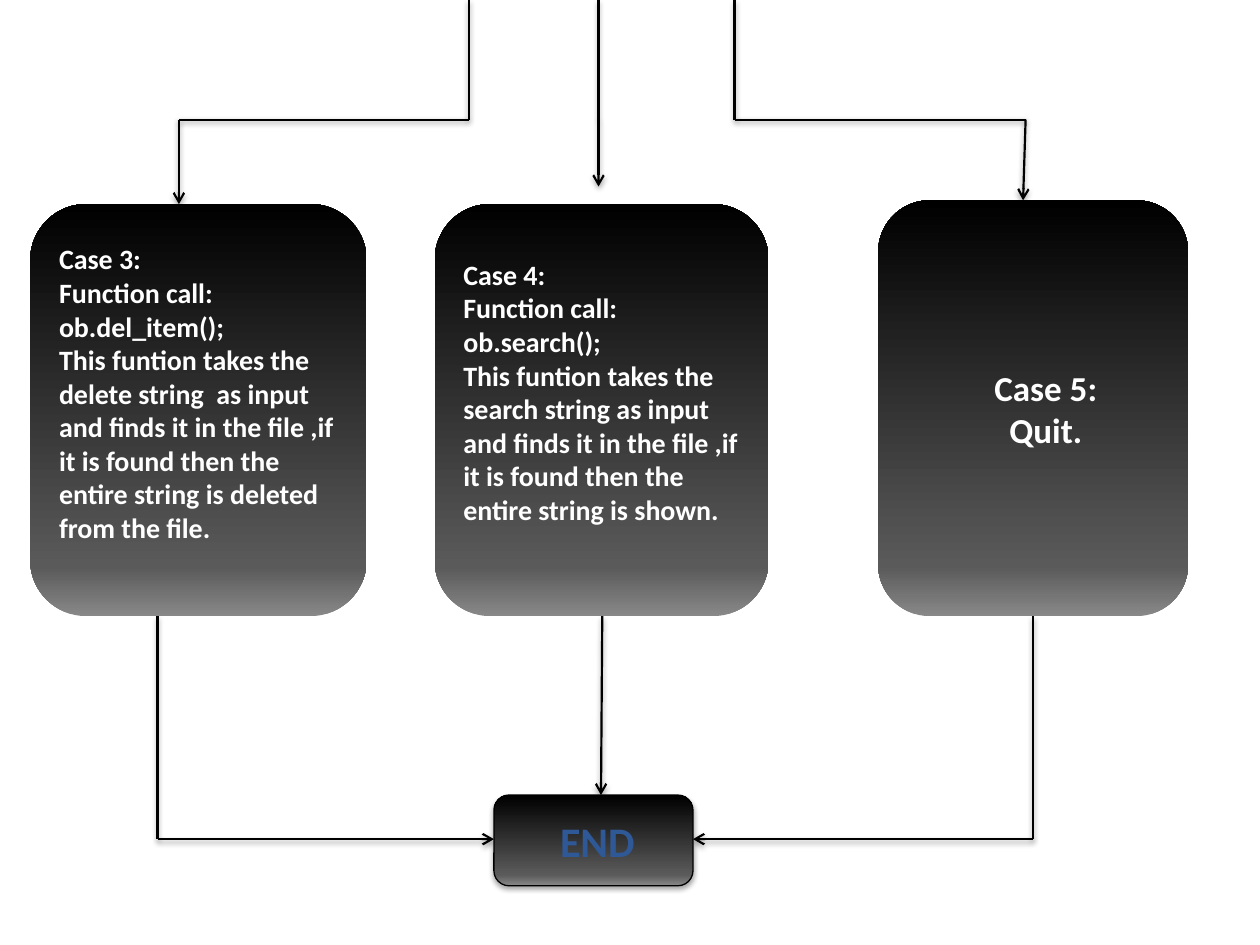
"""Build the closing part of a menu flowchart: three cases leading to END."""
from dataclasses import dataclass
from itertools import pairwise

from lxml import etree
from pptx import Presentation
from pptx import util as u
from pptx.dml.color import RGBColor
from pptx.enum import shapes, text
from pptx.oxml import ns


@dataclass(frozen=True)
class Theme:
    font: str = "Calibri"
    ink: str = "000000"
    case_text: str = "FFFFFF"
    end_text: str = "2F5897"
    gradient: tuple = ((0, "888888"), (12, "5A5A5A"), (100, "000000"))
    body_size: int = 16
    quit_size: int = 20
    end_size: int = 24
    route_width: float = 1.25
    outline_width: float = 0.75


THEME = Theme()


@dataclass(frozen=True)
class Step:
    left: float
    top: float
    width: float
    height: float
    lines: tuple[str, ...]
    size: int = THEME.body_size
    color: str = THEME.case_text
    inset_left: float = 0.1
    inset_bottom: float = 0.05
    centered: bool = False
    outlined: bool = False


@dataclass(frozen=True)
class Route:
    points: tuple[tuple[float, float], ...]


STEPS = (
    Step(0.24, 1.62, 2.67, 3.27, (
        "Case 3:",
        "Function call: ob.del_item();",
        "This funtion takes the delete string  as input and finds it in the file ,if "
        "it is found then the entire string is deleted from the file.",
    ), inset_bottom=0.32),
    Step(3.45, 1.62, 2.65, 3.27, (
        "Case 4:",
        "Function call: ob.search();",
        "This funtion takes the search string as input and finds it in the file ,if "
        "it is found then the entire string is shown.",
    ), inset_bottom=0.34),
    Step(6.97, 1.59, 2.46, 3.3, ("Case 5:", "Quit."), THEME.quit_size,
         inset_left=0.3, centered=True),
    Step(3.92, 6.31, 1.58, 0.72, ("END",), THEME.end_size, THEME.end_text,
         inset_left=0.16, centered=True, outlined=True),
)

ROUTES = (
    Route(((3.72, 0), (3.72, 0.95), (1.42, 0.95), (1.42, 1.62))),
    Route(((4.75, 0), (4.75, 0.95), (4.75, 1.48))),
    Route(((5.83, 0), (5.83, 0.95), (8.14, 0.95), (8.12, 1.59))),
    Route(((1.25, 4.89), (1.25, 6.66), (3.92, 6.66))),
    Route(((4.78, 4.89), (4.77, 6.31))),
    Route(((8.2, 4.89), (8.2, 6.66), (5.5, 6.66))),
)


def add_node(parent, tag: str, **attributes):
    """Append a drawing element and return it."""
    values = {name: str(value) for name, value in attributes.items()}
    return etree.SubElement(parent, ns.qn(f"a:{tag}"), values)


def add_shadow(effects, opacity: int, distance: float) -> None:
    """Cast a soft shadow straight down."""
    shadow = add_node(effects, "outerShdw", blurRad=u.Pt(3.1), dist=u.Pt(distance),
                      dir=90 * 60000, rotWithShape=0)
    color = add_node(shadow, "srgbClr", val=THEME.ink)
    add_node(color, "alpha", val=opacity * 1000)


def fill_gradient(shape) -> None:
    """Fill a shape with the theme gradient, rising from the bottom."""
    shape.fill.gradient()
    gradient = shape._element.spPr.find(ns.qn("a:gradFill"))
    for child in list(gradient):
        gradient.remove(child)
    stops = add_node(gradient, "gsLst")
    for position, color in THEME.gradient:
        stop = add_node(stops, "gs", pos=position * 1000)
        add_node(stop, "srgbClr", val=color)
    add_node(gradient, "lin", ang=270 * 60000, scaled=0)


def draw_route(slide, route: Route) -> None:
    """Draw a route segment by segment, with an arrowhead on the last one."""
    for start, end in pairwise(route.points):
        segment = slide.shapes.add_connector(
            shapes.MSO_CONNECTOR.STRAIGHT, *map(u.Inches, start + end))
        segment.line.color.rgb = RGBColor.from_string(THEME.ink)
        segment.line.width = u.Pt(THEME.route_width)
        if end == route.points[-1]:
            add_node(segment.line._get_or_add_ln(), "tailEnd", type="arrow")
        add_shadow(add_node(segment._element.spPr, "effectLst"), 38, 1.6)


def draw_step(slide, step: Step) -> None:
    """Draw one rounded step with its wording."""
    box = slide.shapes.add_shape(
        shapes.MSO_SHAPE.ROUNDED_RECTANGLE,
        *map(u.Inches, (step.left, step.top, step.width, step.height)))
    fill_gradient(box)
    box.shadow.inherit = False
    if step.outlined:
        box.line.color.rgb = RGBColor.from_string(THEME.ink)
        box.line.width = u.Pt(THEME.outline_width)
        add_shadow(box._element.spPr.find(ns.qn("a:effectLst")), 35, 1.8)
    else:
        box.line.fill.background()

    frame = box.text_frame
    frame.word_wrap = True
    frame.vertical_anchor = text.MSO_ANCHOR.MIDDLE
    frame.margin_left = u.Inches(step.inset_left)
    frame.margin_right = u.Inches(0.1)
    frame.margin_top = u.Inches(0.05)
    frame.margin_bottom = u.Inches(step.inset_bottom)
    frame.text = "\n".join(step.lines)
    for paragraph in frame.paragraphs:
        paragraph.alignment = text.PP_ALIGN.CENTER if step.centered else text.PP_ALIGN.LEFT
        for run in paragraph.runs:
            run.font.name = THEME.font
            run.font.size = u.Pt(step.size)
            run.font.bold = True
            run.font.color.rgb = RGBColor.from_string(step.color)


def main() -> None:
    """Build and save the slide."""
    deck = Presentation()
    deck.slide_width, deck.slide_height = u.Inches(10), u.Inches(7.5)
    slide = deck.slides.add_slide(deck.slide_layouts[6])
    for route in ROUTES:
        draw_route(slide, route)
    for step in STEPS:
        draw_step(slide, step)
    deck.save("out.pptx")


main()
